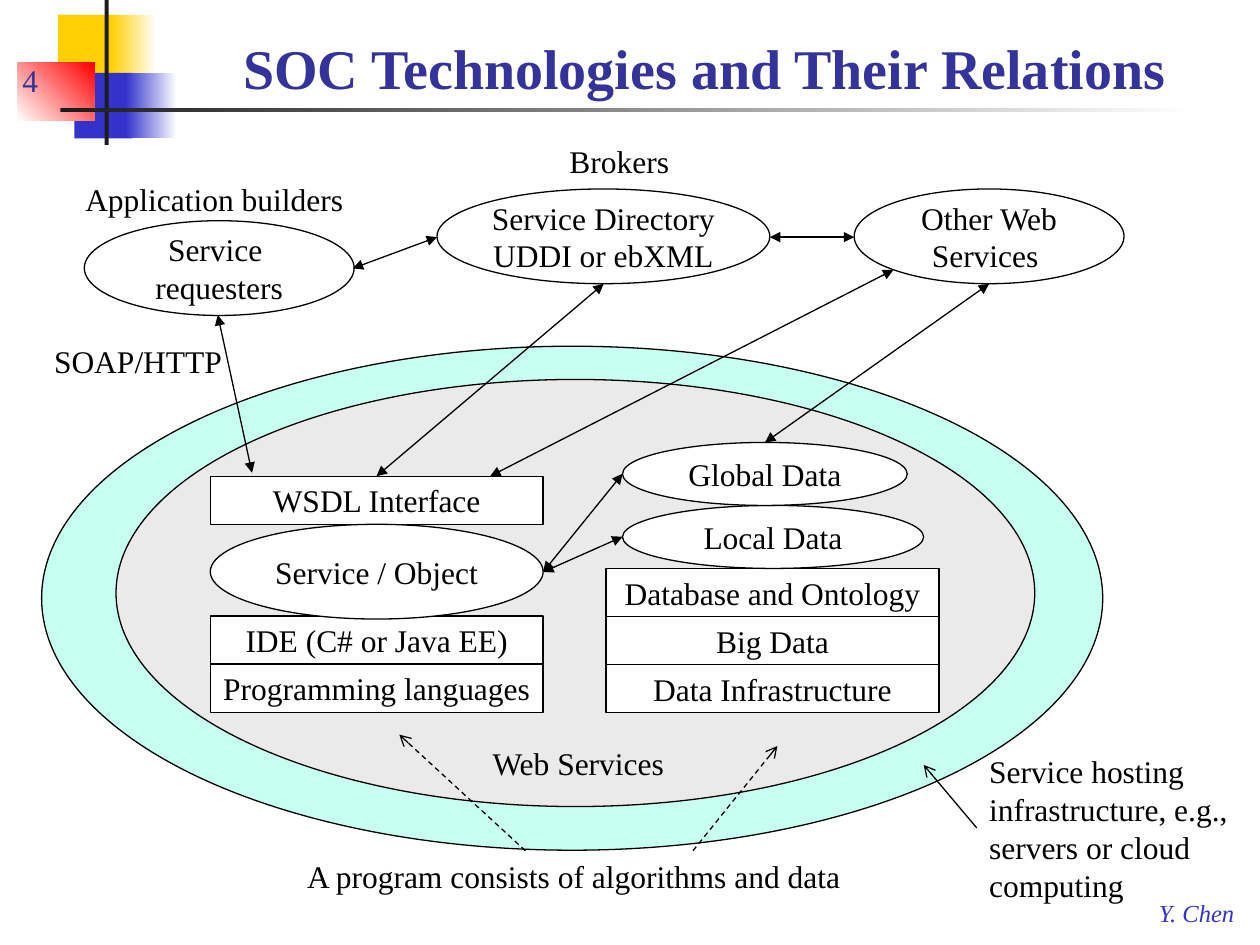
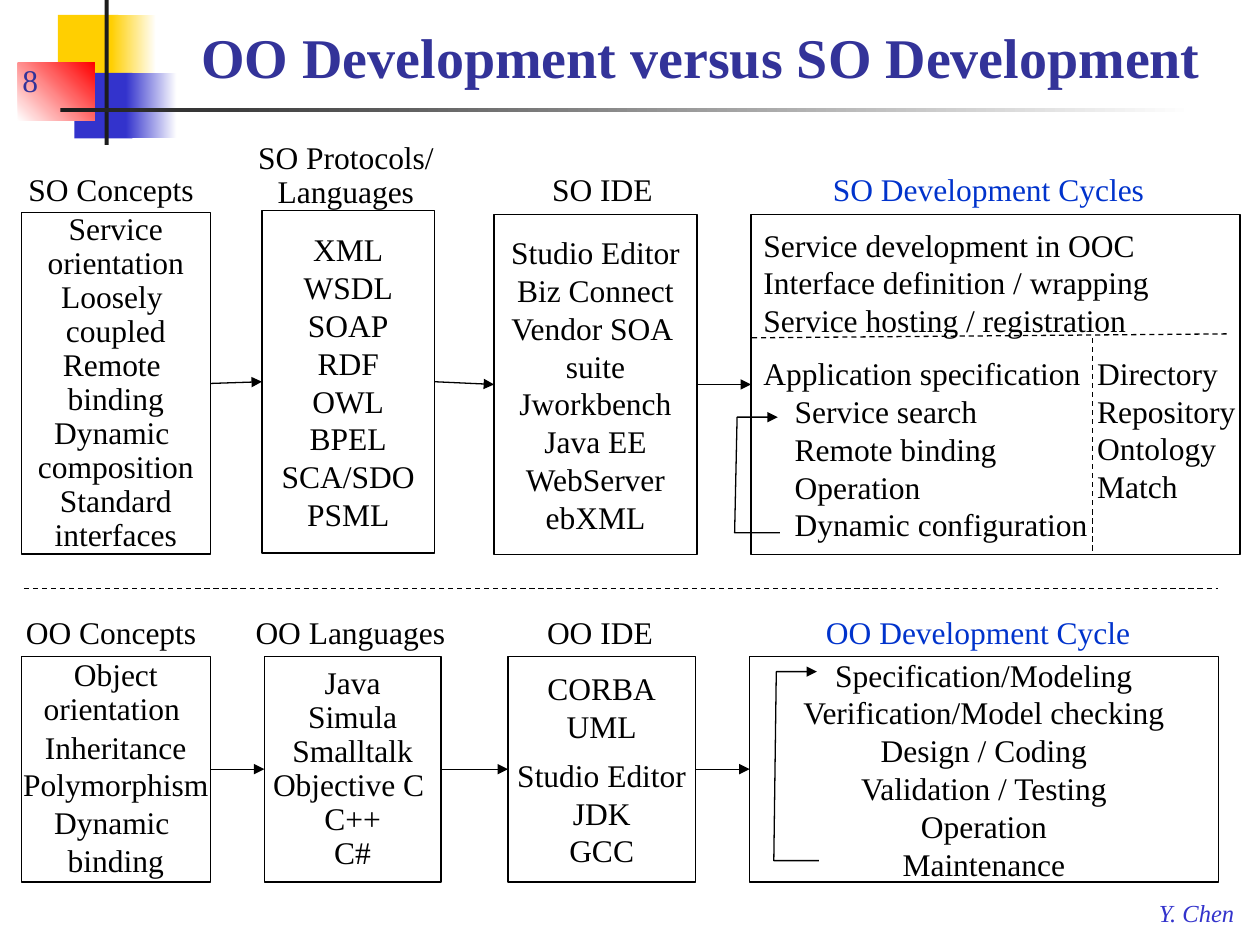
from dataclasses import dataclass
from itertools import pairwise
from typing import NamedTuple, Sequence

from lxml.etree import SubElement
from pptx import Presentation
from pptx.dml.color import RGBColor
from pptx.enum.dml import MSO_LINE
from pptx.enum.shapes import MSO_CONNECTOR, MSO_SHAPE
from pptx.enum.text import MSO_ANCHOR, PP_ALIGN
from pptx.oxml.ns import qn
from pptx.util import Cm, Pt

FONT = "Times New Roman"
BLACK, WHITE, CHARCOAL = "000000", "FFFFFF", "1C1C1C"
YELLOW, RED, BLUE = "FFCF01", "FF0000", "3333CC"
TITLE, CYCLE = "333399", "0033CC"
MINT, GREY = "C7FFF0", "EAEAEA"
RECT, OVAL = MSO_SHAPE.RECTANGLE, MSO_SHAPE.OVAL
LEFT, CENTER = PP_ALIGN.LEFT, PP_ALIGN.CENTER
LABEL_HEIGHT = 1.02
ROW_HEIGHT = 0.97


class Area(NamedTuple):
    """Left, top, width and height in centimetres."""
    left: float
    top: float
    width: float
    height: float


class Line(NamedTuple):
    """A paragraph with its own spacing or indent."""
    text: str
    spacing: float = 1.0
    indent: float = 0.0


class Band(NamedTuple):
    """A plain or fading rectangle of the slide frame."""
    area: Area
    color: str
    fade: str | None = None
    angle: int = 0


class Node(NamedTuple):
    """A labelled box or oval of the diagram."""
    area: Area
    text: str | Sequence[str] = ()
    form: MSO_SHAPE = RECT
    fill: str = WHITE


class Arrow(NamedTuple):
    """A straight line with optional ends and dashes."""
    start: tuple[float, float]
    end: tuple[float, float]
    head: str | None = None
    tail: str | None = "triangle"
    dashed: bool = False


@dataclass(frozen=True)
class Panel:
    """A box of terms below its heading."""
    area: Area
    lines: Sequence[str | Line]
    heading: str | Sequence[str]
    heading_area: Area
    spacing: float = 1.0
    heading_spacing: float = 1.0
    heading_color: str = BLACK
    align: PP_ALIGN = CENTER

    def middle(self) -> float:
        """Return the height of the panel's centre."""
        return self.area.top + self.area.height / 2


BANDS = (
    Band(Area(1.17, 0.3, 1.22, 1.32), YELLOW),
    Band(Area(2.24, 0.3, 0.91, 1.32), YELLOW, WHITE),
    Band(Area(1.5, 1.47, 1.17, 1.32), BLUE),
    Band(Area(2.54, 1.47, 1.02, 1.32), BLUE, WHITE),
    Band(Area(0.36, 1.27, 1.55, 1.17), WHITE, RED, 45),
    Band(Area(2.11, 0, 0.08, 2.92), CHARCOAL),
    Band(Area(1.22, 2.18, 22.86, 0.08), CHARCOAL, WHITE),
)


def stack(left: float, top: float, labels: Sequence[str]) -> list[Node]:
    """Return equal boxes placed one under another."""
    return [Node(Area(left, top + i * ROW_HEIGHT, 6.71, ROW_HEIGHT), label)
            for i, label in enumerate(labels)]


NODES = (
    Node(Area(0.84, 6.98, 21.39, 10.16), form=OVAL, fill=MINT),
    Node(Area(2.34, 7.65, 18.52, 8.61), form=OVAL, fill=GREY),
    *stack(12.22, 11.46, ("Database and Ontology", "Big Data", "Data Infrastructure")),
    *stack(4.24, 12.42, ("IDE (C# or Java EE)", "Programming languages")),
    *stack(4.24, 9.6, ("WSDL Interface",)),
    Node(Area(12.55, 10.19, 6.07, 1.27), "Local Data", OVAL),
    Node(Area(12.55, 8.92, 5.74, 1.27), "Global Data", OVAL),
    Node(Area(4.24, 10.57, 6.71, 1.91), "Service / Object", OVAL),
    Node(Area(8.81, 3.81, 6.71, 1.91), ("Service Directory", "UDDI or ebXML"), OVAL),
    Node(Area(1.7, 4.45, 5.44, 1.91), ("Service ", "requesters"), OVAL),
    Node(Area(17.22, 3.81, 5.44, 1.91), ("Other Web", "Services "), OVAL),
)

LINKS = (
    ((9.88, 9.6), (18.01, 5.44)),
    ((7.59, 9.6), (12.17, 5.72)),
    ((7.11, 5.41), (8.81, 4.78)),
    ((15.42, 8.92), (19.94, 5.72)),
    ((12.55, 10.82), (10.95, 11.53)),
    ((12.55, 9.55), (10.95, 11.53)),
    ((15.52, 4.78), (17.22, 4.78)),
    ((4.39, 6.35), (5.08, 9.53)),
)

POINTERS = (
    Arrow((10.59, 17.15), (8.05, 14.81), tail="arrow", dashed=True),
    Arrow((13.97, 17.15), (15.67, 15.04), tail="arrow", dashed=True),
    Arrow((19.69, 16.69), (18.62, 15.42), tail="arrow"),
)

LABELS = (
    ("SOAP/HTTP", 0.84, 6.78, 3.89),
    ("Web Services", 9.68, 14.88, 4.01),
    ("Application builders", 1.47, 3.51, 5.72),
    ("Brokers", 11.23, 2.74, 2.51),
    ("A program consists of algorithms and data", 5.94, 17.15, 11.63),
)

SERVICE_PANELS = (
    Panel(Area(0.43, 4.29, 3.81, 6.88),
          ("Service", "orientation", "Loosely ", "coupled", "Remote \nbinding",
           "Dynamic \ncomposition", "Standard\ninterfaces"),
          "SO Concepts", Area(-0.2, 3.3, 4.88, LABEL_HEIGHT), spacing=0.9),
    Panel(Area(5.28, 4.24, 3.48, 6.91),
          ("XML", "WSDL", "SOAP", "RDF", "OWL", "BPEL", "SCA/SDO", "PSML"),
          ("SO Protocols/", "Languages"), Area(3.38, 2.74, 7.19, 1.65), heading_spacing=0.9),
    Panel(Area(9.96, 4.32, 4.09, 6.86),
          ("Studio Editor", "Biz Connect", "Vendor SOA \nsuite", "Jworkbench", "Java EE",
           "WebServer", "ebXML"),
          "SO IDE", Area(9.68, 3.3, 4.93, LABEL_HEIGHT)),
    Panel(Area(15.14, 4.32, 9.86, 6.86),
          ("Service development in OOC", "Interface definition / wrapping",
           "Service hosting / registration", Line("Application specification", 1.4),
           *(Line(step, indent=0.63) for step in
             ("Service search", "Remote binding", "Operation", "Dynamic configuration"))),
          "SO Development Cycles", Area(16.54, 3.3, 7.59, LABEL_HEIGHT),
          heading_color=CYCLE, align=LEFT),
)

OBJECT_PANELS = (
    Panel(Area(0.43, 13.23, 3.81, 4.55),
          (Line("Object", 0.9), Line("orientation ", 0.9), "Inheritance", "Polymorphism",
           "Dynamic ", "binding"),
          "OO Concepts", Area(-0.2, 12.24, 4.88, LABEL_HEIGHT)),
    Panel(Area(5.33, 13.23, 3.56, 4.55),
          ("Java", "Simula", "Smalltalk", "Objective C ", "C++", "C#"),
          "OO Languages", Area(4.65, 12.24, 4.83, LABEL_HEIGHT), spacing=0.9),
    Panel(Area(10.24, 13.23, 3.78, 4.55),
          ("CORBA", "UML", Line("Studio Editor", 1.3), "JDK", "GCC"),
          "OO IDE", Area(9.58, 12.24, 5.03, LABEL_HEIGHT)),
    Panel(Area(15.11, 13.23, 9.45, 4.55),
          ("Specification/Modeling", "Verification/Model checking", "Design / Coding",
           "Validation / Testing", "Operation", "Maintenance"),
          "OO Development Cycle", Area(16, 12.24, 7.44, LABEL_HEIGHT), heading_color=CYCLE),
)

DIVIDERS = (
    Arrow((15.16, 6.81), (24.77, 6.73), tail=None, dashed=True),
    Arrow((22.02, 6.81), (22.02, 11.18), tail=None, dashed=True),
    Arrow((0.48, 11.86), (24.56, 11.86), tail=None, dashed=True),
)


def rgb(color: str) -> RGBColor:
    """Turn a hex string into a colour."""
    return RGBColor.from_string(color)


def lengths(values: Sequence[float]) -> list[Cm]:
    """Turn centimetres into lengths."""
    return [Cm(value) for value in values]


def write(box, text: str | Sequence[str | Line], *, size: float = 18, color: str = BLACK,
          bold: bool = False, italic: bool = False, align: PP_ALIGN = LEFT,
          anchor: MSO_ANCHOR = MSO_ANCHOR.TOP, wrap: bool = False, spacing: float = 1.0) -> None:
    """Fill a box with formatted paragraphs."""
    frame = box.text_frame
    frame.word_wrap = wrap
    frame.vertical_anchor = anchor
    for index, item in enumerate([text] if isinstance(text, str) else text):
        line = item if isinstance(item, Line) else Line(item, spacing)
        para = frame.add_paragraph() if index else frame.paragraphs[0]
        para.text = line.text
        para.alignment = align
        para.line_spacing = line.spacing
        if line.indent:
            para._p.get_or_add_pPr().set("marL", str(Cm(line.indent)))
        for span in para.runs:
            font = span.font
            font.name, font.size, font.bold, font.italic = FONT, Pt(size), bold, italic
            font.color.rgb = rgb(color)


def add_label(page, area: Area, text: str | Sequence[str], **style) -> None:
    """Add a text box."""
    write(page.shapes.add_textbox(*lengths(area)), text, **style)


def add_form(page, form: MSO_SHAPE, area: Area, fill: str | None = None, outlined: bool = True):
    """Add a preset shape with a flat fill and thin outline."""
    box = page.shapes.add_shape(form, *lengths(area))
    box.shadow.inherit = False
    if fill:
        box.fill.solid()
        box.fill.fore_color.rgb = rgb(fill)
    else:
        box.fill.background()
    if outlined:
        style_line(box.line)
    else:
        box.line.fill.background()
    return box


def style_line(line, head: str | None = None, tail: str | None = None,
               dashed: bool = False) -> None:
    """Give a line its colour, width, dashes and arrowheads."""
    line.color.rgb = rgb(BLACK)
    line.width = Pt(0.75)
    if dashed:
        line.dash_style = MSO_LINE.DASH
    for tag, kind in (("a:headEnd", head), ("a:tailEnd", tail)):
        if kind:
            SubElement(line._get_or_add_ln(), qn(tag), type=kind)


def add_arrow(page, arrow: Arrow) -> None:
    """Add a straight connector."""
    link = page.shapes.add_connector(
        MSO_CONNECTOR.STRAIGHT, *lengths((*arrow.start, *arrow.end)))
    style_line(link.line, arrow.head, arrow.tail, arrow.dashed)
    SubElement(link._element.spPr, qn("a:effectLst"))


def add_loop(page, right: float, bottom: float, top: float) -> None:
    """Add a bracket that leads back up to an earlier step."""
    left = right - 0.91
    corners = ((left, bottom), (left + 0.05, top), (right - 0.04, top))
    builder = page.shapes.build_freeform(Cm(right), Cm(bottom))
    builder.add_line_segments([lengths(corner) for corner in corners], close=False)
    loop = builder.convert_to_shape()
    loop.shadow.inherit = False
    loop.fill.background()
    style_line(loop.line, tail="triangle")


def add_band(page, band: Band) -> None:
    """Add one part of the slide frame."""
    box = add_form(page, RECT, band.area, band.color, outlined=False)
    if band.fade:
        box.fill.gradient()
        box.fill.gradient_angle = band.angle
        for stop, color in zip(box.fill.gradient_stops, (band.color, band.fade)):
            stop.color.rgb = rgb(color)


def add_page(deck, number: str, title: str, title_area: Area):
    """Add a slide with its frame, number, title and footer."""
    page = deck.slides.add_slide(deck.slide_layouts[6])
    for band in BANDS:
        add_band(page, band)
    add_label(page, Area(23.11, 17.98, 2.08, 0.84), "Y. Chen", size=14, color=BLUE, italic=True)
    heading = {"color": TITLE, "anchor": MSO_ANCHOR.BOTTOM, "wrap": True}
    add_label(page, Area(0.2, 0.84, 5.28, 1.27), number, **heading)
    add_label(page, title_area, title, size=32, bold=True, **heading)
    return page


def add_panels(page, panels: Sequence[Panel]) -> None:
    """Add a row of panels joined by arrows."""
    for panel in panels:
        add_label(page, panel.heading_area, panel.heading, align=panel.align, wrap=True,
                  color=panel.heading_color, spacing=panel.heading_spacing)
        write(add_form(page, RECT, panel.area), panel.lines, align=panel.align,
              anchor=MSO_ANCHOR.MIDDLE, spacing=panel.spacing)
    for before, after in pairwise(panels):
        add_arrow(page, Arrow((before.area.left + before.area.width, before.middle()),
                              (after.area.left, after.middle())))


def add_relations(deck) -> None:
    """Build the slide on technologies and their relations."""
    page = add_page(deck, "4", "SOC Technologies and Their Relations",
                    Area(4.65, 0.43, 20.55, 1.73))
    for node in NODES:
        box = add_form(page, node.form, node.area, node.fill)
        write(box, node.text, align=CENTER, anchor=MSO_ANCHOR.MIDDLE)
    for start, end in LINKS:
        add_arrow(page, Arrow(start, end, head="triangle"))
    for text, left, top, width in LABELS:
        add_label(page, Area(left, top, width, LABEL_HEIGHT), text)
    add_label(page, Area(19.69, 15.04, 5.66, 3.33),
              "Service hosting infrastructure, e.g., servers or cloud computing", wrap=True)
    for pointer in POINTERS:
        add_arrow(page, pointer)


def add_comparison(deck) -> None:
    """Build the slide that compares the two ways of development."""
    page = add_page(deck, "8", "OO Development versus SO Development",
                    Area(3.81, 0.2, 21.39, 1.73))
    add_panels(page, SERVICE_PANELS)
    add_panels(page, OBJECT_PANELS)
    add_label(page, Area(21.87, 7.01, 3.33, 3.33),
              ("Directory", "Repository", "Ontology", "Match"))
    for divider in DIVIDERS:
        add_arrow(page, divider)
    add_loop(page, 15.72, 10.74, 8.41)
    add_loop(page, 16.51, 17.35, 13.54)


def main() -> None:
    """Build and save the deck."""
    deck = Presentation()
    deck.slide_width, deck.slide_height = Cm(25.4), Cm(19.05)
    add_relations(deck)
    add_comparison(deck)
    deck.save("out.pptx")


if __name__ == "__main__":
    main()
